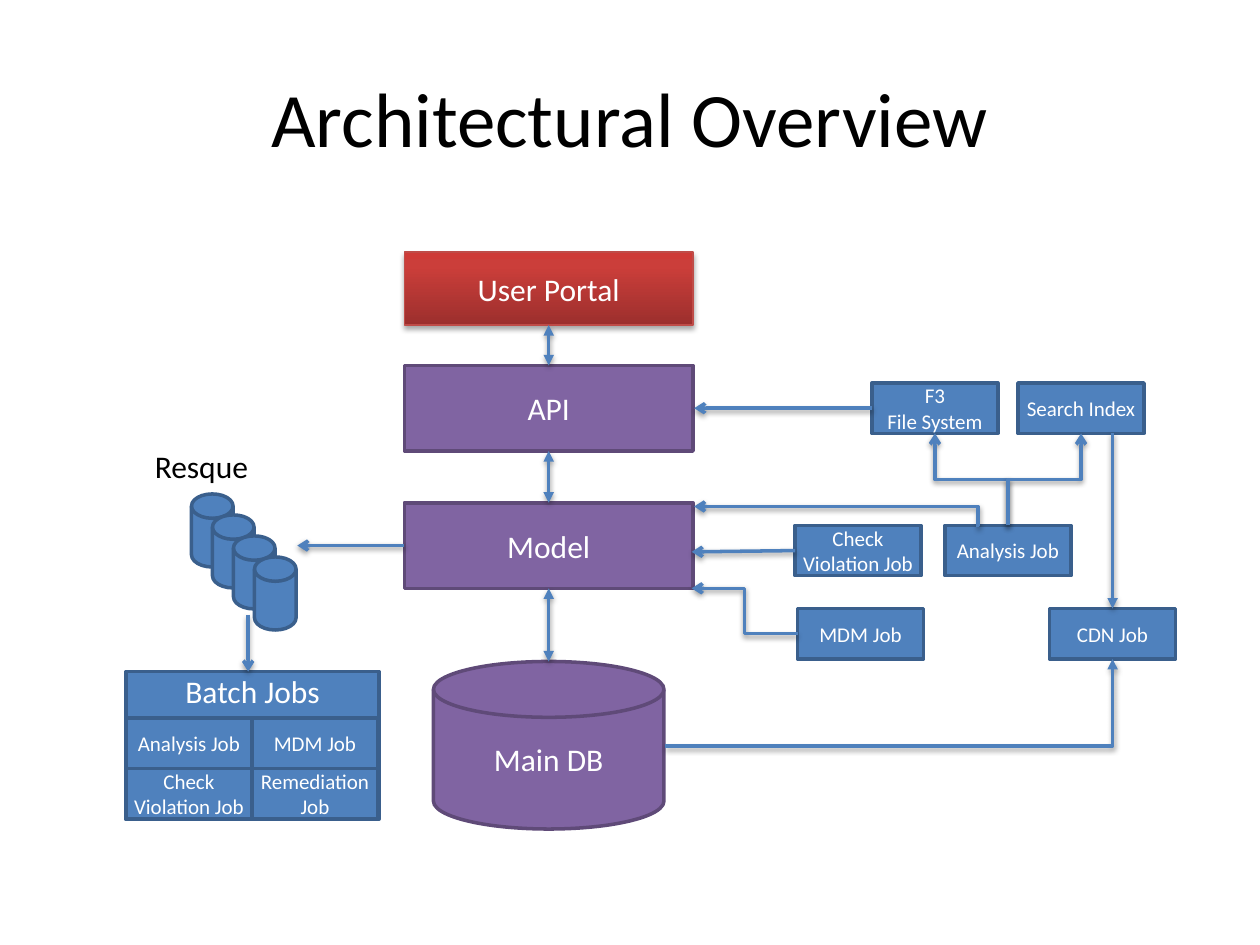
from dataclasses import dataclass
from typing import Optional

from lxml.etree import SubElement
from pptx import Presentation
from pptx.dml.color import RGBColor
from pptx.enum.shapes import MSO_CONNECTOR, MSO_SHAPE
from pptx.enum.text import MSO_ANCHOR, PP_ALIGN
from pptx.oxml.ns import qn
from pptx.util import Inches, Pt

COLORS = {
    "blue": "4F81BD", "blue_edge": "3A5F8C",
    "purple": "8064A2", "purple_edge": "5F4A78",
    "red_dark": "9C2F2D", "red": "CB3E3A", "red_light": "CE3B37", "red_edge": "BF4C48",
    "white": "FFFFFF", "black": "000000",
}
FONT = "Calibri"
JOB_WIDTH, JOB_HEIGHT = 1, 0.4
LAYER_LEFT, LAYER_WIDTH = 3.21, 2.29
CENTER = LAYER_LEFT + LAYER_WIDTH / 2
TOP, LEFT, BOTTOM, RIGHT = range(4)


@dataclass
class Node:
    name: str
    text: str
    left: float
    top: float
    width: float = JOB_WIDTH
    height: float = JOB_HEIGHT
    color: str = "blue"
    size: int = 12
    side_inset: float = 0
    top_inset: float = 0.05
    anchor: MSO_ANCHOR = MSO_ANCHOR.MIDDLE
    kind: MSO_SHAPE = MSO_SHAPE.RECTANGLE


@dataclass
class Link:
    start: tuple[float, float]
    end: tuple[float, float]
    tail: str = "arrow"
    head: Optional[str] = None
    begin_join: Optional[tuple[str, int]] = None
    end_join: Optional[tuple[str, int]] = None
    bend: Optional[str] = None
    adjust: Optional[int] = None
    upright: bool = False


def layer(name: str, text: str, top: float, height: float) -> Node:
    return Node(name, text, LAYER_LEFT, top, LAYER_WIDTH, height, "purple", 18, 0.1)


def set_values(target, values: dict) -> None:
    for key, value in values.items():
        setattr(target, key, value)


def rgb(name: str) -> RGBColor:
    return RGBColor.from_string(COLORS[name])


def write_text(box, text: str, size: int, color: str, align: PP_ALIGN, frame_format: dict) -> None:
    frame = box.text_frame
    set_values(frame, frame_format)
    for index, line in enumerate(text.split("\n")):
        para = frame.paragraphs[0] if index == 0 else frame.add_paragraph()
        para.alignment = align
        span = para.add_run()
        span.text = line
        set_values(span.font, {"name": FONT, "size": Pt(size)})
        span.font.color.rgb = rgb(color)


def add_label(page, text: str, area: tuple, size: int, align: PP_ALIGN, frame_format: dict) -> None:
    box = page.shapes.add_textbox(*map(Inches, area))
    write_text(box, text, size, "black", align, frame_format)


def add_shadow(properties, opacity: int, distance: float) -> None:
    effects = properties.find(qn("a:effectLst"))
    if effects is None:
        effects = SubElement(properties, qn("a:effectLst"))
    shadow = SubElement(effects, qn("a:outerShdw"), blurRad=str(Pt(3.1)),
                        dist=str(Pt(distance)), dir="5400000", rotWithShape="0")
    shade = SubElement(shadow, qn("a:srgbClr"), val=COLORS["black"])
    SubElement(shade, qn("a:alpha"), val=str(opacity * 1000))


def add_node(page, node: Node):
    box = page.shapes.add_shape(
        node.kind, *map(Inches, (node.left, node.top, node.width, node.height)))
    box.shadow.inherit = False
    box.fill.solid()
    box.fill.fore_color.rgb = rgb(node.color)
    box.line.color.rgb = rgb(f"{node.color}_edge")
    box.line.width = Pt(2)
    if node.text:
        write_text(box, node.text, node.size, "white", PP_ALIGN.CENTER, {
            "word_wrap": True, "vertical_anchor": node.anchor,
            "margin_left": Inches(node.side_inset), "margin_right": Inches(node.side_inset),
            "margin_top": Inches(node.top_inset), "margin_bottom": Inches(0.05),
        })
    return box


def shade_portal(portal) -> None:
    portal.line.width = Pt(0.75)
    portal.fill.gradient()
    gradient = portal.element.spPr.find(qn("a:gradFill"))
    for child in list(gradient):
        gradient.remove(child)
    stops = SubElement(gradient, qn("a:gsLst"))
    for position, color in ((0, "red_dark"), (80, "red"), (100, "red_light")):
        stop = SubElement(stops, qn("a:gs"), pos=str(position * 1000))
        SubElement(stop, qn("a:srgbClr"), val=COLORS[color])
    SubElement(gradient, qn("a:lin"), ang="16200000", scaled="0")
    add_shadow(portal.element.spPr, 35, 1.8)


def turned_ends(start: tuple, end: tuple) -> tuple:
    middle_x, middle_y = (start[0] + end[0]) / 2, (start[1] + end[1]) / 2
    return tuple((middle_x - (y - middle_y), middle_y + (x - middle_x)) for x, y in (start, end))


def add_link(page, link: Link, nodes: dict) -> None:
    start, end = turned_ends(link.start, link.end) if link.upright else (link.start, link.end)
    kind = MSO_CONNECTOR.ELBOW if link.bend else MSO_CONNECTOR.STRAIGHT
    connector = page.shapes.add_connector(kind, *map(Inches, (*start, *end)))
    if link.begin_join:
        connector.begin_connect(nodes[link.begin_join[0]], link.begin_join[1])
    if link.end_join:
        connector.end_connect(nodes[link.end_join[0]], link.end_join[1])
    connector.line.color.rgb = rgb("blue")
    connector.line.width = Pt(2)
    properties = connector.element.spPr
    if link.upright:
        properties.find(qn("a:xfrm")).set("rot", "16200000")
    if link.bend:
        geometry = properties.find(qn("a:prstGeom"))
        geometry.set("prst", link.bend)
        if link.adjust is not None:
            SubElement(geometry.find(qn("a:avLst")), qn("a:gd"),
                       name="adj1", fmla=f"val {link.adjust}")
    outline = properties.find(qn("a:ln"))
    for tag, arrow in (("a:headEnd", link.head), ("a:tailEnd", link.tail)):
        if arrow:
            SubElement(outline, qn(tag), type=arrow)
    add_shadow(properties, 38, 1.6)


DISK = MSO_SHAPE.FLOWCHART_MAGNETIC_DISK
BATCH_JOBS = ("Analysis Job", "MDM Job", "Check Violation Job", "Remediation Job")
NODES = [
    Node("portal", "User Portal", LAYER_LEFT, 2, LAYER_WIDTH, 0.58, "red", 18, 0.1),
    layer("api", "API", 2.9, 0.68),
    layer("model", "Model", 3.99, 0.68),
    *(Node(f"queue {i}", "", 1.52 + i / 6, 3.92 + i / 6, 0.33, 0.58, kind=DISK) for i in range(4)),
    Node("batch", "Batch Jobs", 1, 5.33, 2.01, 1.17, size=18, top_inset=0, anchor=MSO_ANCHOR.TOP),
    *(Node(f"batch {i}", text, 1 + i % 2 * JOB_WIDTH, 5.7 + i // 2 * JOB_HEIGHT)
      for i, text in enumerate(BATCH_JOBS)),
    Node("files", "F3\nFile System", 6.92, 3.04),
    Node("search", "Search Index", 8.08, 3.04),
    Node("violation", "Check Violation Job", 6.31, 4.17),
    Node("mdm", "MDM Job", 6.33, 4.83),
    Node("analysis", "Analysis Job", 7.5, 4.17),
    Node("cdn", "CDN Job", 8.33, 4.83),
    Node("database", "Main DB", 3.44, 5.25, 1.83, 1.33, "purple", 18, 0.1, kind=DISK),
]
LINKS = [
    Link((6.31, 4.37), (5.49, 4.38), begin_join=("violation", LEFT)),
    Link((6.33, 5.03), (5.49, 4.67), bend="bentConnector3"),
    Link((CENTER, 5.25), (CENTER, 4.67), "triangle", "triangle", end_join=("model", BOTTOM)),
    Link((CENTER, 3.99), (CENTER, 3.58), "triangle", "triangle", ("model", TOP), ("api", BOTTOM)),
    Link((CENTER, 2.9), (CENTER, 2.58), "triangle", "triangle", ("api", TOP), ("portal", BOTTOM)),
    Link((3.21, 4.33), (2.36, 4.33), begin_join=("model", LEFT)),
    Link((7.75, 4.17), (5.51, 4.02), bend="bentConnector3", adjust=-600),
    Link((8, 4.17), (7.42, 3.44), bend="bentConnector3", upright=True),
    Link((8, 4.17), (8.58, 3.44), bend="bentConnector3", upright=True),
    Link((5.28, 5.92), (8.83, 5.23), "triangle", bend="bentConnector2"),
    Link((8.83, 3.44), (8.83, 4.83), "triangle", end_join=("cdn", TOP)),
    Link((6.92, 3.24), (5.51, 3.24), begin_join=("files", LEFT)),
    Link((1.97, 4.88), (1.97, 5.33)),
]


def main() -> None:
    deck = Presentation()
    set_values(deck, {"slide_width": Inches(10), "slide_height": Inches(7.5)})
    page = deck.slides.add_slide(deck.slide_layouts[6])
    add_label(page, "Architectural Overview", (0.5, 0.3, 9, 1.25), 44, PP_ALIGN.CENTER,
              {"word_wrap": True, "vertical_anchor": MSO_ANCHOR.MIDDLE})
    nodes = {node.name: add_node(page, node) for node in NODES}
    shade_portal(nodes["portal"])
    add_label(page, "Resque", (1.13, 3.5, 0.95, 0.4), 18, PP_ALIGN.LEFT, {"word_wrap": False})
    for link in LINKS:
        add_link(page, link, nodes)
    deck.save("out.pptx")


if __name__ == "__main__":
    main()
